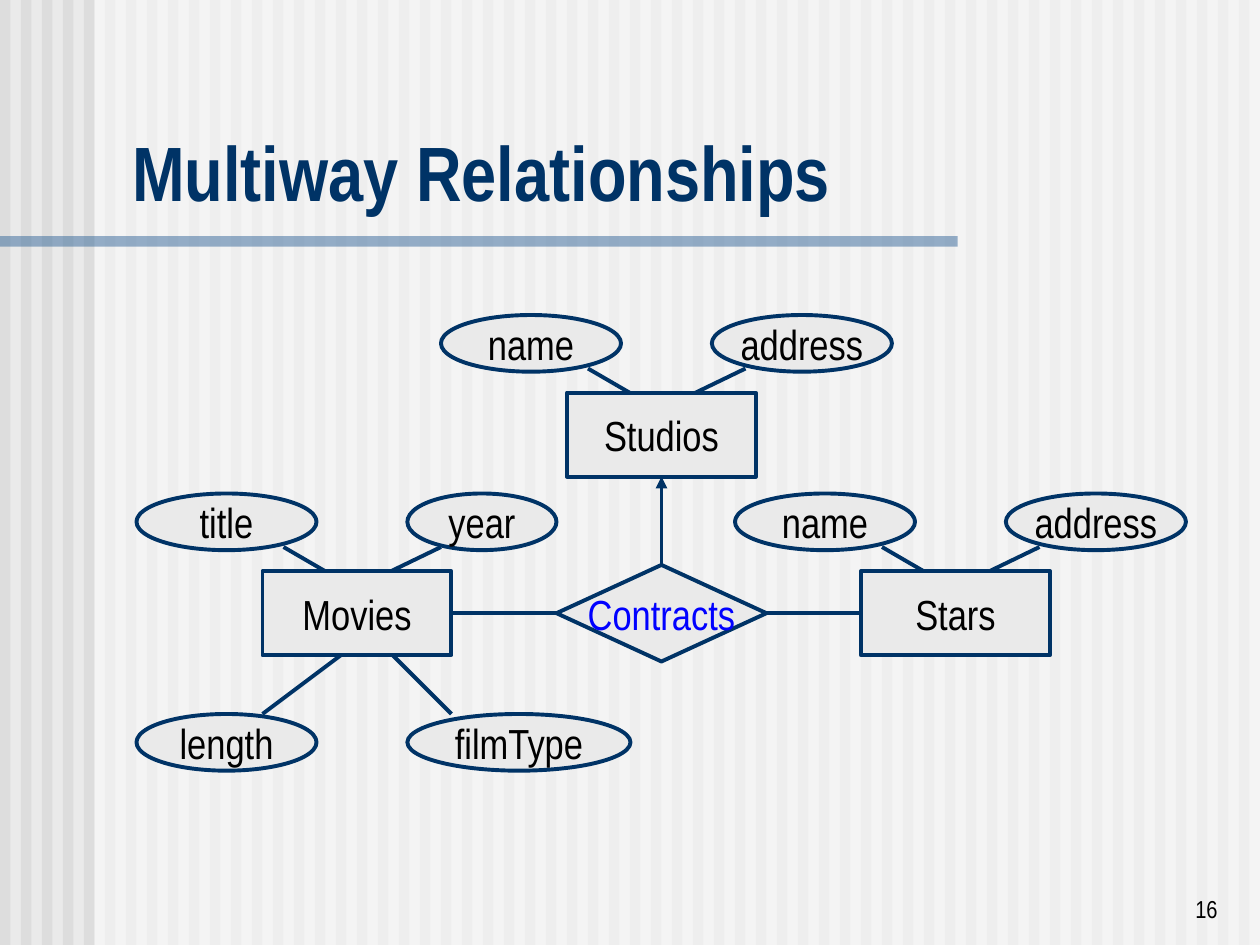
from dataclasses import dataclass

from pptx import Presentation
from pptx.dml.color import RGBColor
from pptx.enum.shapes import MSO_CONNECTOR as Connector, MSO_SHAPE as Shape
from pptx.enum.text import MSO_ANCHOR as Anchor, PP_ALIGN as Align
from pptx.oxml.ns import qn
from pptx.util import Pt
from lxml.etree import SubElement

PX = 914400 // 240  # 240 px to the inch


@dataclass(frozen=True)
class Theme:
    font: str = "Arial Narrow"
    paper: RGBColor = RGBColor(0xEA, 0xEA, 0xEA)
    stripe: RGBColor = RGBColor(0xDD, 0xDD, 0xDD)
    veil: RGBColor = RGBColor(0xFF, 0xFF, 0xFF)
    rule: RGBColor = RGBColor(0x33, 0x66, 0x99)
    navy: RGBColor = RGBColor(0x00, 0x33, 0x66)
    text: RGBColor = RGBColor(0x00, 0x00, 0x00)
    accent: RGBColor = RGBColor(0x00, 0x00, 0xFF)
    title_size: Pt = Pt(44)
    label_size: Pt = Pt(24)
    number_size: Pt = Pt(14)
    outline: Pt = Pt(2.25)


theme = Theme()
presentation = Presentation()
presentation.slide_width, presentation.slide_height = 2400 * PX, 1800 * PX
slide = presentation.slides.add_slide(presentation.slide_layouts[5])
slide.background.fill.solid()
slide.background.fill.fore_color.rgb = theme.paper


def add_box(kind, left, top, width, height, fill, label=None, color=theme.text):
    """Add a filled shape; a labelled one is also outlined."""
    shape = slide.shapes.add_shape(kind, left * PX, top * PX, width * PX, height * PX)
    shape.shadow.inherit = False
    shape.fill.solid()
    shape.fill.fore_color.rgb = fill
    if label is None:
        shape.line.fill.background()
        return shape
    shape.line.color.rgb = theme.navy
    shape.line.width = theme.outline
    frame = shape.text_frame
    frame.word_wrap = False
    frame.vertical_anchor = Anchor.MIDDLE
    paragraph = frame.paragraphs[0]
    paragraph.text = label
    paragraph.alignment = Align.CENTER
    paragraph.font.name = theme.font
    paragraph.font.size = theme.label_size
    paragraph.font.color.rgb = color
    return shape


def add_line(start_x, start_y, end_x, end_y):
    line = slide.shapes.add_connector(
        Connector.STRAIGHT, start_x * PX, start_y * PX, end_x * PX, end_y * PX)
    line.line.color.rgb = theme.navy
    line.line.width = theme.outline
    SubElement(line._element.spPr, qn("a:effectLst"))
    return line


# Striped background, white veil and title rule
for column in range(60):
    add_box(Shape.RECTANGLE, column * 40, 0, 20, 1800, theme.stripe)
veil = add_box(Shape.RECTANGLE, 180, 0, 2220, 1800, theme.veil)
rule = add_box(Shape.RECTANGLE, 0, 450, 1824, 20, theme.rule)
for shape in (veil, rule):
    color = shape._element.spPr.find(qn("a:solidFill"))[0]
    SubElement(color, qn("a:alpha"), val="50000")

# Title, raised above the background
title = slide.shapes.title
slide.shapes._spTree.append(title._element)
title.left, title.top, title.width, title.height = 228 * PX, 226 * PX, 2143 * PX, 199 * PX
title.text_frame.vertical_anchor = Anchor.BOTTOM
paragraph = title.text_frame.paragraphs[0]
paragraph.text = "Multiway Relationships"
paragraph.alignment = Align.LEFT
paragraph.font.name = theme.font
paragraph.font.size = theme.title_size
paragraph.font.bold = True
paragraph.font.color.rgb = theme.navy

# Attribute slots relative to an entity: ellipse corner, then line start and end
SLOTS = {
    "top left": ((-240, -148), (40, -46), (140, 12)),
    "top right": ((276, -148), (340, -46), (220, 12)),
    "bottom left": ((-240, 272), (0, 272), (160, 152)),
    "bottom right": ((276, 272), (360, 272), (240, 152)),
}
# Entity: left, top, and (attribute, ellipse width) in slot order
ENTITIES = {
    "Movies": (500, 1088, [("title", 343), ("year", 284), ("length", 343), ("filmType", 425)]),
    "Stars": (1640, 1088, [("name", 343), ("address", 343)]),
    "Studios": (1080, 748, [("name", 343), ("address", 343)]),
}

# Entities with their attributes
entities = {}
for name, (left, top, attributes) in ENTITIES.items():
    for (attribute, width), (corner, start, end) in zip(attributes, SLOTS.values()):
        add_box(Shape.OVAL, left + corner[0], top + corner[1], width, 108, theme.paper, attribute)
        add_line(left + start[0], top + start[1], left + end[0], top + end[1])
    entities[name] = add_box(Shape.RECTANGLE, left, top, 360, 160, theme.paper, name)

# Relationship joined to its three entities
contracts = add_box(Shape.DIAMOND, 1060, 1076, 400, 184, theme.paper, "Contracts", theme.accent)
for name, diamond_side, entity_side in (("Movies", 1, 3), ("Stars", 3, 1), ("Studios", 0, 2)):
    line = add_line(0, 0, 0, 0)
    line.begin_connect(contracts, diamond_side)
    line.end_connect(entities[name], entity_side)
    if name == "Studios":
        SubElement(line.line._get_or_add_ln(), qn("a:tailEnd"), type="triangle")

# Slide number
number = slide.shapes.add_textbox(1843 * PX, 1651 * PX, 500 * PX, 120 * PX)
number.text_frame.word_wrap = True
number.text_frame.vertical_anchor = Anchor.BOTTOM
paragraph = number.text_frame.paragraphs[0]
paragraph.text = "16"
paragraph.alignment = Align.RIGHT
paragraph.font.name = theme.font
paragraph.font.size = theme.number_size
paragraph.font.color.rgb = theme.text

presentation.save("out.pptx")
